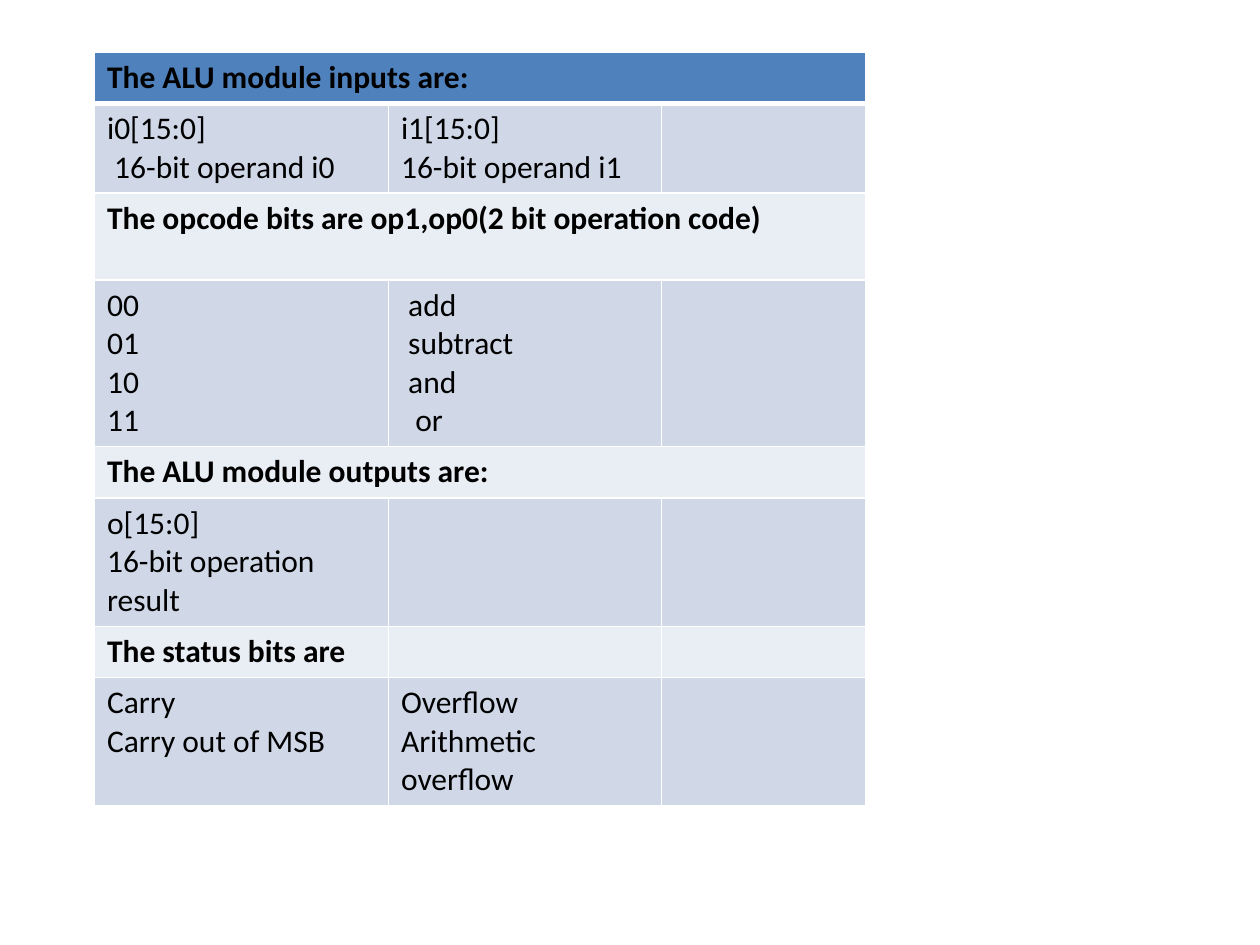
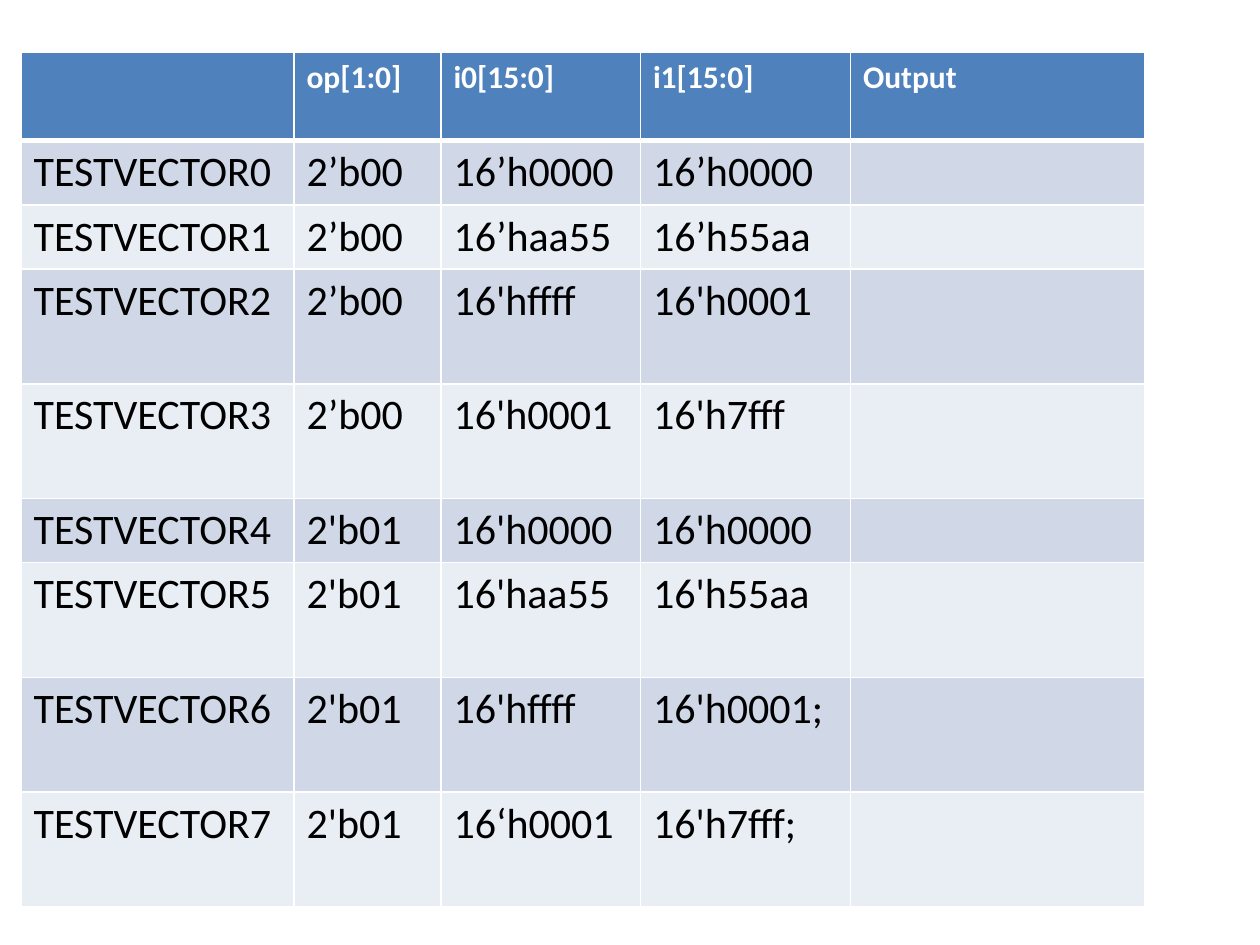
from pptx import Presentation, util as u
from pptx.dml import color
from pptx.oxml import parse_xml
from pptx.oxml import ns

deck = Presentation()
deck.slide_width, deck.slide_height = u.Inches(10), u.Inches(7.5)
unit = deck.slide_width / 120
white, black = "FFFFFF", "000000"
blue, bands = "4F81BD", ["E9EDF4", "D0D8E8"]
space = 4.07


def tint(code):
    return color.RGBColor.from_string(code)


def edge(cell, side, width):
    cell._tc.get_or_add_tcPr().append(parse_xml(
        f'<a:ln{side} {ns.nsdecls("a")} w="{u.Pt(width)}"><a:solidFill>'
        f'<a:srgbClr val="{white}"/></a:solidFill></a:ln{side}>'))


ports = [
    ["The ALU module inputs are:"],
    ["i0[15:0]\n16-bit operand i0", "i1[15:0]\n16-bit operand i1"],
    ["The opcode bits are op1,op0(2 bit operation code)"],
    ["00\n01\n10\n11", "add\nsubtract\nand\nor"],
    ["The ALU module outputs are:"],
    ["o[15:0]\n16-bit operation result"],
    ["The status bits are"],
    ["Carry\nCarry out of MSB", "Overflow\nArithmetic overflow"],
]
tests = [
    ["", "op[1:0]", "i0[15:0]", "i1[15:0]", "Output"],
    ["TESTVECTOR0", "2’b00", "16’h0000", "16’h0000"],
    ["TESTVECTOR1", "2’b00", "16’haa55", "16’h55aa"],
    ["TESTVECTOR2", "2’b00", "16'hffff", "16'h0001"],
    ["TESTVECTOR3", "2’b00", "16'h0001", "16'h7fff"],
    ["TESTVECTOR4", "2'b01", "16'h0000", "16'h0000"],
    ["TESTVECTOR5", "2'b01", "16'haa55", "16'h55aa"],
    ["TESTVECTOR6", "2'b01", "16'hffff", "16'h0001;"],
    ["TESTVECTOR7", "2'b01", "16‘h0001", "16'h7fff;"],
]
indents = {"16-bit operand i0": 1, "add": 1, "subtract": 1, "and": 1, "or": 2}

pages = [
    dict(rows=ports, left=9, cols=[28, 26, 19.5], spans=[0, 2, 4],
         bold=[0, 2, 4, 6], head=black, size=18,
         tall=[0.4, 0.71, 0.69, 1.32, 0.41, 1.02, 0.4, 1.02]),
    dict(rows=tests, left=2, cols=[26, 14, 19, 20, 28], spans=[],
         bold=[0], head=white, size=24,
         tall=[0.7, 0.51, 0.51, 0.91, 0.91, 0.51, 0.91, 0.91, 0.91]),
]

for page in pages:
    rows, cols, tall = page["rows"], page["cols"], page["tall"]
    slide = deck.slides.add_slide(deck.slide_layouts[6])
    grid = slide.shapes.add_table(
        len(rows), len(cols), int(page["left"] * unit), int(5 * unit),
        int(sum(cols) * unit), u.Inches(sum(tall))).table
    grid.first_row = grid.horz_banding = False
    for col, wide in zip(grid.columns, cols):
        col.width = int(wide * unit)
    for r, words in enumerate(rows):
        grid.rows[r].height = u.Inches(tall[r])
        style = {"name": "Calibri", "bold": r in page["bold"],
                 "size": u.Pt(page["size"] if r else 18)}
        for c in range(len(cols)):
            cell = grid.cell(r, c)
            for side in "LRTB":
                thick = (r, side) in [(0, "B"), (1, "T")]
                edge(cell, side, 3 if thick else 1)
            cell.fill.solid()
            cell.fill.fore_color.rgb = tint(bands[r % 2] if r else blue)
            if c >= len(words) or not words[c]:
                continue
            cell.text_frame.text = words[c]
            for para in cell.text_frame.paragraphs:
                pad = indents.get(para.text, 0)
                if pad:
                    para._p.get_or_add_pPr().set("marL", str(u.Pt(pad * space)))
                font = para.runs[0].font
                for key, value in style.items():
                    setattr(font, key, value)
                font.color.rgb = tint(black if r else page["head"])
        if r in page["spans"]:
            grid.cell(r, 0).merge(grid.cell(r, len(cols) - 1))

deck.save("out.pptx")
